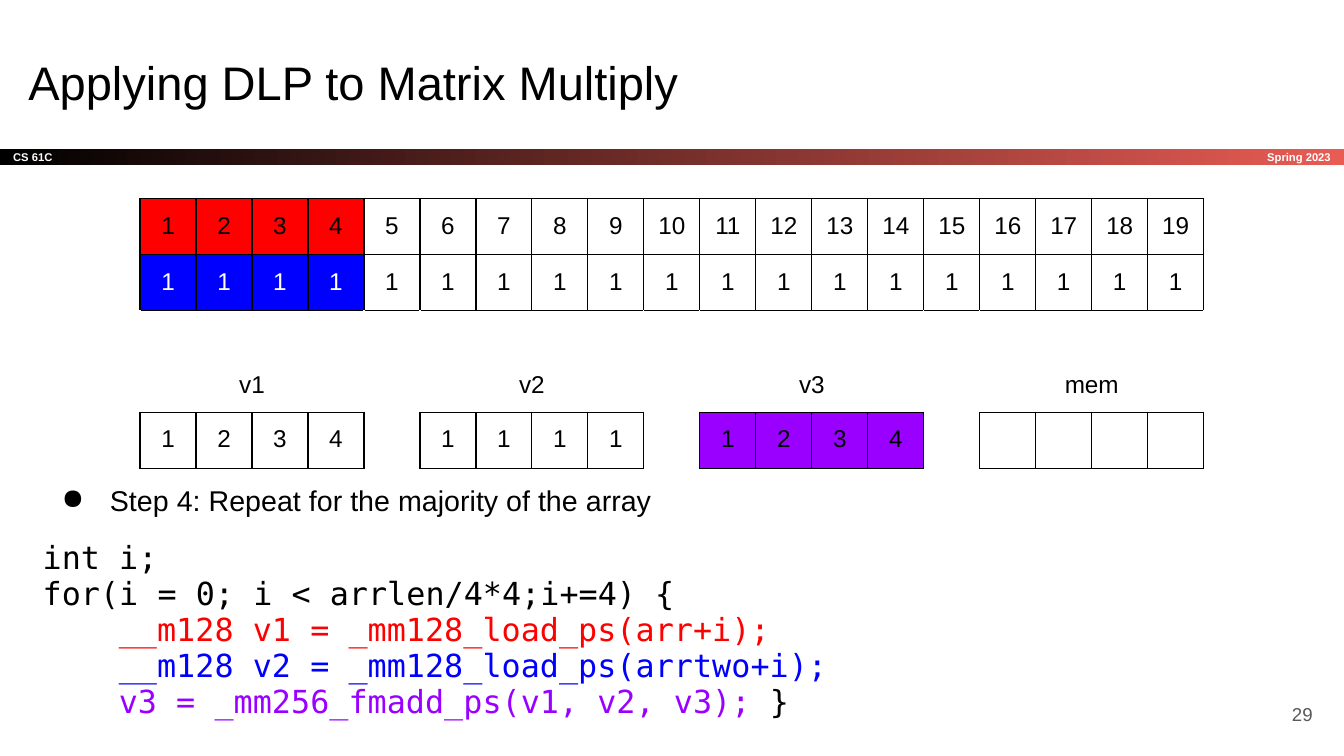
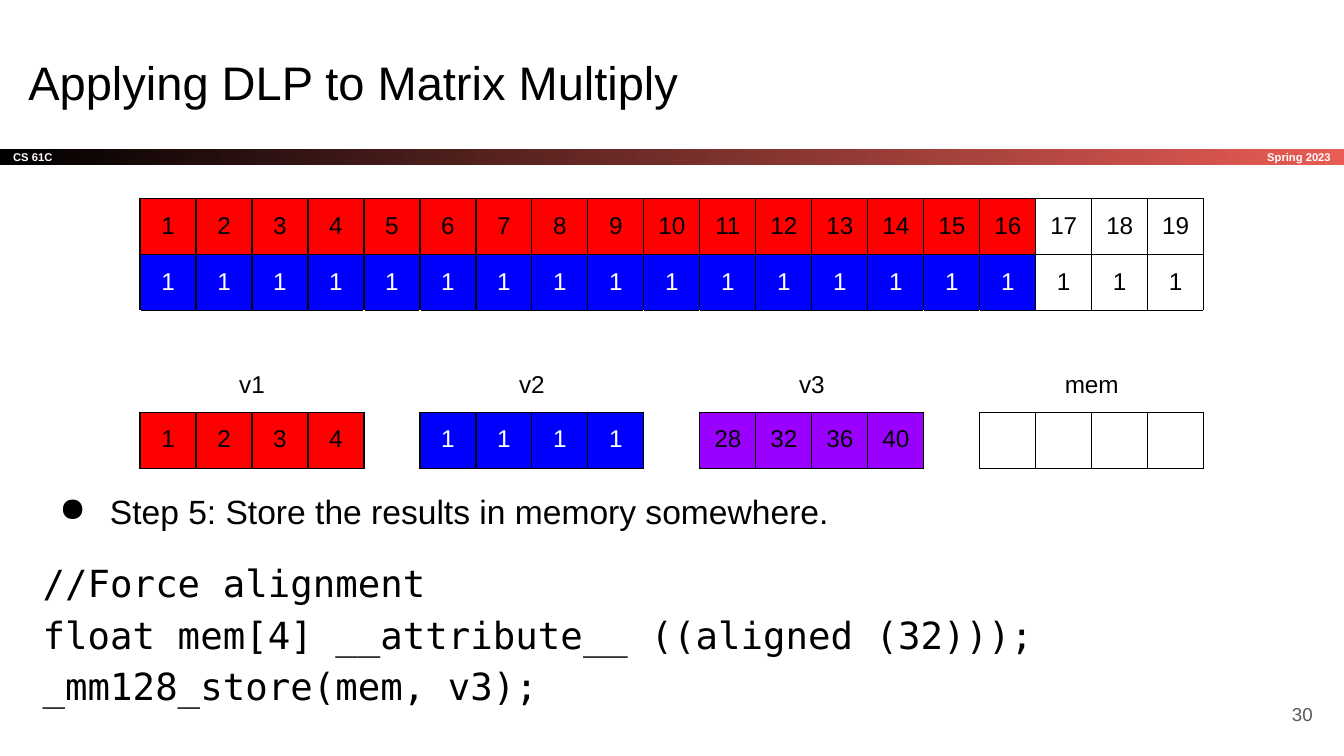
from pptx import Presentation
from pptx.dml.color import RGBColor
from pptx.enum.shapes import MSO_SHAPE as Shape
from pptx.enum.text import MSO_ANCHOR as Anchor, MSO_AUTO_SIZE as AutoSize, PP_ALIGN as Align
from pptx.oxml.ns import qn
from pptx.util import Pt
from lxml.etree import SubElement

# Shared look
BLACK, WHITE, GREY = "000000", "FFFFFF", "595959"
RED, BLUE, PURPLE, CORAL = "FF0000", "0000FF", "9900FF", "E85C54"
SANS, MONO = "Arial", "DejaVu Sans Mono"
INSET = 7.2
BAND_TOP, BAND_HEIGHT = 79.9, 8.6

# Table grid: four lanes per register, one gap column between registers
COLUMNS, CELL, LABEL_ROW = 19, 30, 54.5
LANES = 4


def color(hex_code):
    return RGBColor.from_string(hex_code)


def add_run(paragraph, text, size, hex_code=BLACK, font=SANS, bold=False):
    run = paragraph.add_run()
    run.text = text
    run.font.size, run.font.name, run.font.bold = Pt(size), font, bold
    run.font.color.rgb = color(hex_code)


def set_frame(frame, anchor):
    frame.word_wrap, frame.auto_size = True, AutoSize.NONE
    frame.vertical_anchor = anchor
    frame.margin_left = frame.margin_right = Pt(INSET)
    frame.margin_top = frame.margin_bottom = Pt(INSET)


def add_text_box(slide, left, top, width, height, anchor=Anchor.MIDDLE):
    box = slide.shapes.add_textbox(Pt(left), Pt(top), Pt(width), Pt(height))
    set_frame(box.text_frame, anchor)
    return box.text_frame


def add_right_label(slide, left, top, width, height, text, **style):
    paragraph = add_text_box(slide, left, top, width, height).paragraphs[0]
    paragraph.alignment = Align.RIGHT
    add_run(paragraph, text, **style)


# Title, course band and page number
def add_frame(slide, title, page):
    heading = slide.shapes.title
    heading.left, heading.top, heading.width, heading.height = Pt(8), Pt(21.5), Pt(671), Pt(45)
    set_frame(heading.text_frame, Anchor.TOP)
    paragraph = heading.text_frame.paragraphs[0]
    paragraph.alignment = Align.LEFT
    add_run(paragraph, title, 25.2)

    band = slide.shapes.add_shape(Shape.RECTANGLE, 0, Pt(BAND_TOP), Pt(720), Pt(BAND_HEIGHT))
    band.shadow.inherit = False
    band.line.fill.background()
    band.fill.gradient()
    band.fill.gradient_angle = 0
    for stop, position, hex_code in zip(band.fill.gradient_stops, (0, 1), (BLACK, CORAL)):
        stop.position, stop.color.rgb = position, color(hex_code)
    set_frame(band.text_frame, Anchor.MIDDLE)
    course = band.text_frame.paragraphs[0]
    course.alignment = Align.LEFT
    add_run(course, "CS 61C", 6, WHITE, bold=True)

    add_right_label(slide, 600.5, BAND_TOP, 119.5, BAND_HEIGHT, "Spring 2023",
                    size=6, hex_code=WHITE, bold=True)
    add_right_label(slide, 667.1, 367, 43.2, 31, page, size=10, hex_code=GREY)


# Array and register table
def set_borders(cell, left=BLACK, right=BLACK, top=BLACK, bottom=BLACK):
    properties = cell._tc.get_or_add_tcPr()
    for tag, hex_code in zip(("a:lnL", "a:lnR", "a:lnT", "a:lnB"), (left, right, top, bottom)):
        line = SubElement(properties, qn(tag), w=str(Pt(0.75)))
        SubElement(SubElement(line, qn("a:solidFill")), qn("a:srgbClr"), val=hex_code)


def fill_cell(cell, text="", fill=None, anchor=Anchor.TOP, **borders):
    set_borders(cell, **borders)
    if fill:
        cell.fill.solid()
        cell.fill.fore_color.rgb = color(fill)
    else:
        cell.fill.background()
    cell.margin_left = cell.margin_right = cell.margin_top = cell.margin_bottom = Pt(INSET)
    cell.vertical_anchor = anchor
    paragraph = cell.text_frame.paragraphs[0]
    paragraph.alignment = Align.CENTER
    if text:
        add_run(paragraph, text, 13, WHITE if fill == BLUE else BLACK)
    else:
        paragraph._p.get_or_add_endParaRPr().set("sz", "1300")


def add_vector_table(slide, loaded, registers):
    heights = (CELL, CELL, LABEL_ROW, CELL)
    table = slide.shapes.add_table(len(heights), COLUMNS, Pt(75), Pt(106.4),
                                   Pt(COLUMNS * CELL), Pt(sum(heights))).table
    table.first_row = table.horz_banding = False
    for column in table.columns:
        column.width = Pt(CELL)
    for row, height in zip(table.rows, heights):
        row.height = Pt(height)

    # Both input arrays, with the loaded elements coloured
    for i in range(COLUMNS):
        fill_cell(table.cell(0, i), str(i + 1), RED if i < loaded else WHITE)
        fill_cell(table.cell(1, i), "1", BLUE if i < loaded else WHITE)

    # Registers below, each under its label
    for number, (label, values, fill) in enumerate(registers):
        first = number * (LANES + 1)
        for lane in range(LANES):
            fill_cell(table.cell(2, first + lane), "" if lane else label,
                      anchor=Anchor.BOTTOM, left=WHITE, right=WHITE)
            fill_cell(table.cell(3, first + lane), values[lane] if values else "", fill)
        table.cell(2, first).merge(table.cell(2, first + LANES - 1))
        if first:
            fill_cell(table.cell(2, first - 1), left=WHITE, right=WHITE, bottom=WHITE)
            fill_cell(table.cell(3, first - 1), top=WHITE, bottom=WHITE)


# Step bullet followed by code; each code line is (indent level, runs)
def add_step(slide, step, step_size, hanging, code, code_size, spacing):
    frame = add_text_box(slide, 15.8, 252.7, 671, 141.8, Anchor.TOP)
    bullet = frame.paragraphs[0]
    bullet.line_spacing = spacing
    properties = bullet._p.get_or_add_pPr()
    properties.set("marL", str(Pt(36)))
    properties.set("indent", str(-Pt(hanging)))
    SubElement(SubElement(properties, qn("a:buClr")), qn("a:srgbClr"), val=BLACK)
    SubElement(properties, qn("a:buChar"), char="●")
    add_run(bullet, step, step_size)

    indent_width = 4 * 0.6 * code_size
    for number, (level, runs) in enumerate(code):
        line = frame.add_paragraph()
        line.line_spacing = spacing
        line.space_before = Pt(0 if number else 12)
        line.space_after = Pt(12 if number == len(code) - 1 else 0)
        line._p.get_or_add_pPr().set("marL", str(Pt(level * indent_width)))
        for text, hex_code in runs:
            add_run(line, text, code_size, hex_code, MONO)


def main():
    deck = Presentation()
    deck.slide_width, deck.slide_height = Pt(720), Pt(405)
    title_only = deck.slide_layouts[5]
    title = "Applying DLP to Matrix Multiply"
    counting, ones = ("1", "2", "3", "4"), ("1",) * LANES

    # Step 4: loop over the array
    repeat = deck.slides.add_slide(title_only)
    add_frame(repeat, title, "29")
    add_step(repeat, "Step 4: Repeat for the majority of the array", 15.3, 25.9, [
        (0, [("int i;", BLACK)]),
        (0, [("for(i = 0; i < arrlen/4*4;i+=4) {", BLACK)]),
        (1, [("__m128 v1 = _mm128_load_ps(arr+i);", RED)]),
        (1, [("__m128 v2 = _mm128_load_ps(arrtwo+i);", BLUE)]),
        (1, [("v3 = _mm256_fmadd_ps(v1, v2, v3); ", PURPLE), ("}", BLACK)]),
    ], 17, 0.95)
    add_vector_table(repeat, 4, [("v1", counting, WHITE), ("v2", ones, WHITE),
                                 ("v3", counting, PURPLE), ("mem", None, None)])

    # Step 5: store the sums
    store = deck.slides.add_slide(title_only)
    add_frame(store, title, "30")
    add_step(store, "Step 5: Store the results in memory somewhere.", 18, 27, [
        (0, [("//Force alignment", BLACK)]),
        (0, [("float mem[4] __attribute__ ((aligned (32)));", BLACK)]),
        (0, [("_mm128_store(mem, v3);", BLACK)]),
    ], 20, 1.15)
    add_vector_table(store, 16, [("v1", counting, RED), ("v2", ones, BLUE),
                                 ("v3", ("28", "32", "36", "40"), PURPLE), ("mem", None, None)])

    deck.save("out.pptx")


if __name__ == "__main__":
    main()
